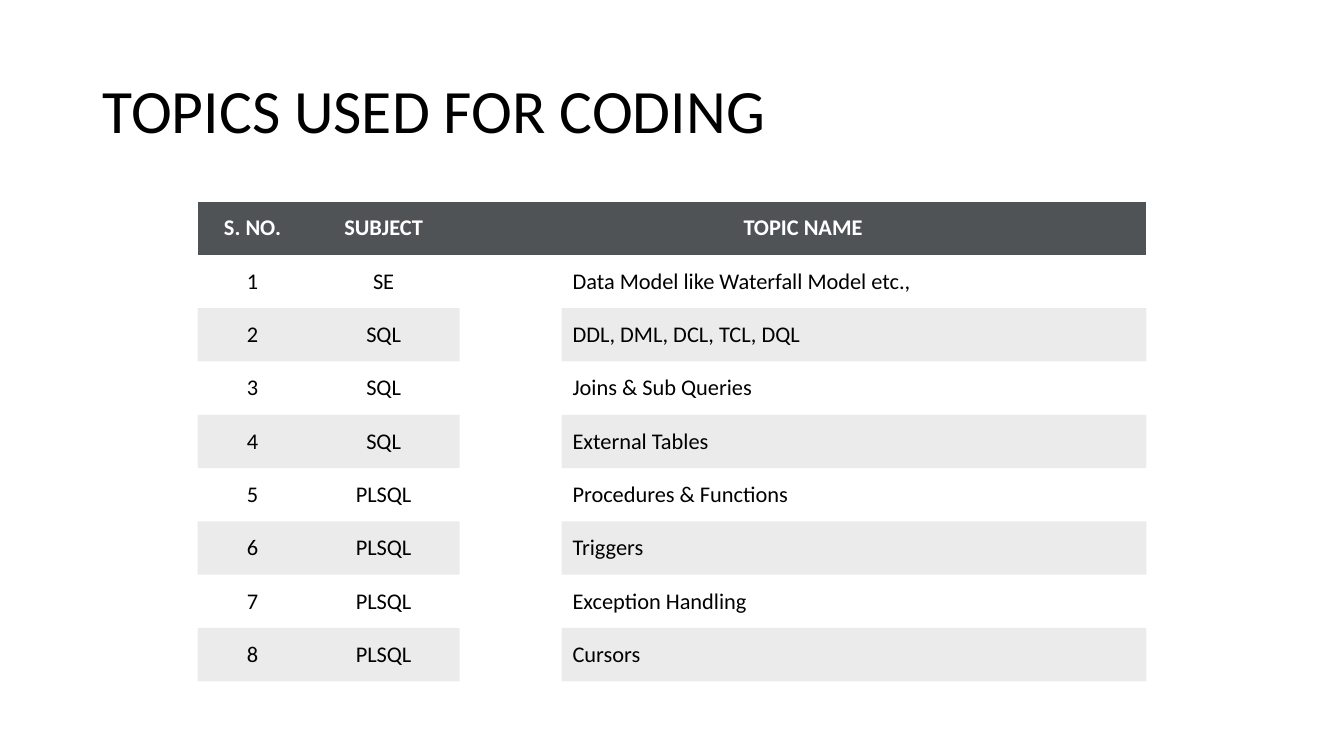
from dataclasses import dataclass

from lxml import etree
from pptx import Presentation
from pptx import util as u
from pptx.dml.color import RGBColor
from pptx.enum import text
from pptx.oxml import ns

COLOURS = {"ink": "000000", "header": "505356", "header_text": "FFFFFF", "band": "000000"}
FONT = "Calibri"
BAND_OPACITY = 8
PLAIN_TABLE_STYLE = "{2D5ABB26-0587-4C30-8999-92F81FD0307C}"
COLUMN_WIDTHS = (1.09, 1.51, 1.01, 5.8)
ROW_HEIGHT = 4.76 / 9
NUMBER, SUBJECT, GAP, TOPIC = range(4)


@dataclass(frozen=True)
class Topic:
    subject: str
    name: str


TOPICS = (
    Topic("SE", "Data Model like Waterfall Model etc.,"),
    Topic("SQL", "DDL, DML, DCL, TCL, DQL"),
    Topic("SQL", "Joins & Sub Queries"),
    Topic("SQL", "External Tables"),
    Topic("PLSQL", "Procedures & Functions"),
    Topic("PLSQL", "Triggers"),
    Topic("PLSQL", "Exception Handling"),
    Topic("PLSQL", "Cursors"),
)


def style_runs(paragraph, size: float, colour: str, bold: bool = False) -> None:
    for run in paragraph.runs:
        run.font.name = FONT
        run.font.size = u.Pt(size)
        run.font.bold = bold
        run.font.color.rgb = RGBColor.from_string(COLOURS[colour])


def write_cell(cell, words: str, colour: str = "ink", bold: bool = False,
               centred: bool = True) -> None:
    cell.vertical_anchor = text.MSO_ANCHOR.MIDDLE
    cell.margin_left = cell.margin_right = u.Inches(0.11)
    cell.margin_top = cell.margin_bottom = u.Inches(0.11)
    cell.text_frame.text = words
    paragraph = cell.text_frame.paragraphs[0]
    paragraph.alignment = text.PP_ALIGN.CENTER if centred else text.PP_ALIGN.LEFT
    style_runs(paragraph, 16, colour, bold)


def fill_cell(cell, colour: str, opacity: int = 100) -> None:
    cell.fill.solid()
    cell.fill.fore_color.rgb = RGBColor.from_string(COLOURS[colour])
    if opacity < 100:
        tint = cell._tc.tcPr.find(".//" + ns.qn("a:srgbClr"))
        etree.SubElement(tint, ns.qn("a:alpha")).set("val", str(opacity * 1000))


def add_title(slide, words: str) -> None:
    title = slide.shapes.title
    title.left, title.top = u.Inches(0.92), u.Inches(0.4)
    title.width, title.height = u.Inches(11.5), u.Inches(1.45)
    title.text_frame.text = words
    title.text_frame.vertical_anchor = text.MSO_ANCHOR.MIDDLE
    paragraph = title.text_frame.paragraphs[0]
    paragraph.alignment = text.PP_ALIGN.LEFT
    paragraph.line_spacing = 0.9
    style_runs(paragraph, 44, "ink")


def add_topics(slide) -> None:
    row_count = len(TOPICS) + 1
    table = slide.shapes.add_table(
        row_count, len(COLUMN_WIDTHS), u.Inches(1.96), u.Inches(2),
        u.Inches(sum(COLUMN_WIDTHS)), u.Inches(ROW_HEIGHT * row_count)).table
    table.horz_banding = False
    table._tbl.tblPr.find(ns.qn("a:tableStyleId")).text = PLAIN_TABLE_STYLE
    for column, width in zip(table.columns, COLUMN_WIDTHS):
        column.width = u.Inches(width)
    for row in table.rows:
        row.height = u.Inches(ROW_HEIGHT)

    table.cell(0, GAP).merge(table.cell(0, TOPIC))
    table.cell(1, GAP).merge(table.cell(len(TOPICS), GAP))

    for column, heading in ((NUMBER, "S. NO."), (SUBJECT, "SUBJECT"), (GAP, "TOPIC NAME")):
        write_cell(table.cell(0, column), heading, "header_text", bold=True)
        fill_cell(table.cell(0, column), "header")

    for number, topic in enumerate(TOPICS, start=1):
        entries = {NUMBER: str(number), SUBJECT: topic.subject, TOPIC: topic.name}
        for column, words in entries.items():
            cell = table.cell(number, column)
            write_cell(cell, words, centred=column != TOPIC)
            if number % 2 == 0:
                fill_cell(cell, "band", BAND_OPACITY)


def main() -> None:
    deck = Presentation()
    deck.slide_width, deck.slide_height = u.Inches(13.33), u.Inches(7.5)
    slide = deck.slides.add_slide(deck.slide_layouts.get_by_name("Title Only"))
    add_title(slide, "TOPICS USED FOR CODING")
    add_topics(slide)
    deck.save("out.pptx")


if __name__ == "__main__":
    main()
